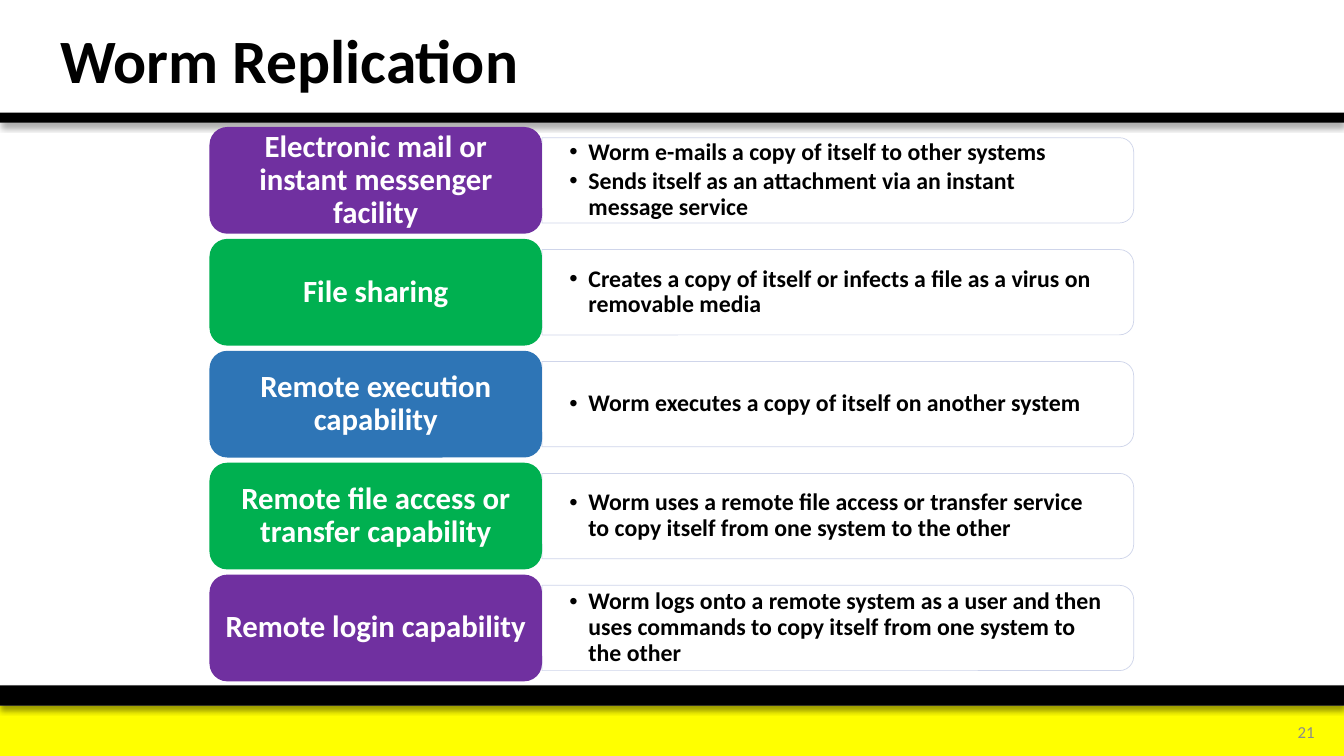
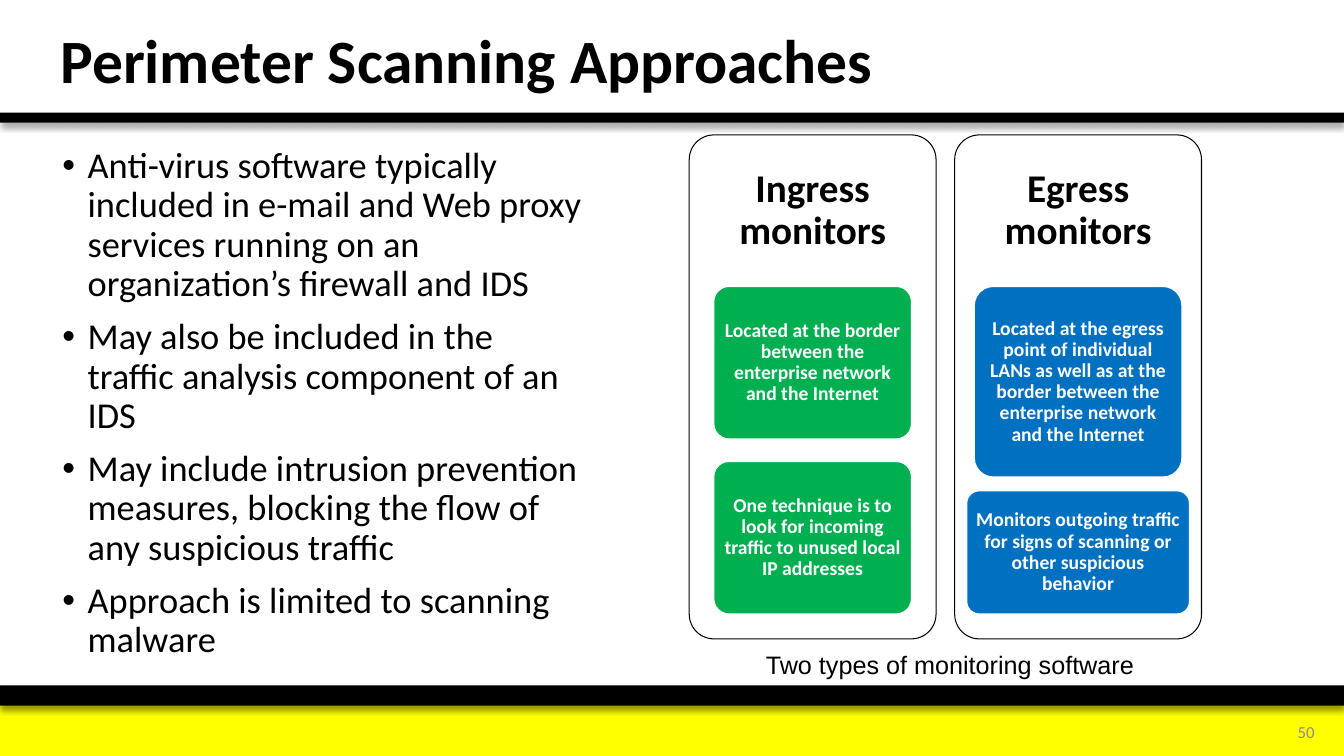
from lxml import etree
from pptx import Presentation
from pptx.dml.color import RGBColor
from pptx.enum.shapes import MSO_SHAPE
from pptx.enum.text import MSO_ANCHOR, PP_ALIGN
from pptx.oxml.ns import qn
from pptx.util import Cm, Pt

RECT = MSO_SHAPE.RECTANGLE
ROUNDED = MSO_SHAPE.ROUNDED_RECTANGLE
TWO_ROUNDED = MSO_SHAPE.ROUND_2_SAME_RECTANGLE
TOP, MIDDLE = MSO_ANCHOR.TOP, MSO_ANCHOR.MIDDLE
LEFT, CENTER, RIGHT = PP_ALIGN.LEFT, PP_ALIGN.CENTER, PP_ALIGN.RIGHT

SLIDE_W, SLIDE_H = 33.87, 19.05
BLACK, WHITE, YELLOW, GREY = "000000", "FFFFFF", "FFFF00", "8C8C8C"
PURPLE, GREEN, STEEL, BLUE = "7030A0", "00B050", "2E75B6", "0070C0"
PALE = "CFD5EA"

REPLICATION = [
    ("Electronic mail or instant messenger facility", PURPLE,
     ["Worm e-mails a copy of itself to other systems",
      "Sends itself as an attachment via an instant message service"]),
    ("File sharing", GREEN,
     ["Creates a copy of itself or infects a file as a virus on removable media"]),
    ("Remote execution capability", STEEL,
     ["Worm executes a copy of itself on another system"]),
    ("Remote file access or transfer capability", GREEN,
     ["Worm uses a remote file access or transfer service to copy itself "
      "from one system to the other"]),
    ("Remote login capability", PURPLE,
     ["Worm logs onto a remote system as a user and then uses commands to "
      "copy itself from one system to the other"]),
]

APPROACHES = [
    "Anti-virus software typically included in e-mail and Web proxy services "
    "running on an organization’s firewall and IDS",
    "May also be included in the traffic analysis component of an IDS",
    "May include intrusion prevention measures, blocking the flow of any "
    "suspicious traffic",
    "Approach is limited to scanning malware",
]

# Each card: width, height, text
MONITORS = [
    ("Ingress monitors", GREEN, [
        (4.98, 3.84, "Located at the border between the enterprise network "
                     "and the Internet"),
        (4.98, 3.84, "One technique is to look for incoming traffic to unused "
                     "local IP addresses")]),
    ("Egress monitors", BLUE, [
        (5.23, 4.8, "Located at the egress point of individual LANs as well as "
                    "at the border between the enterprise network and the Internet"),
        (5.61, 3.1, "Monitors outgoing traffic for signs of scanning or other "
                    "suspicious behavior")]),
]


def rgb(value):
    return RGBColor.from_string(value)


def add_block(slide, kind, box, fill=None, line=None, width=0.75):
    """Add a preset shape; without fill or line that part is transparent."""
    block = slide.shapes.add_shape(kind, *map(Cm, box))
    block.shadow.inherit = False
    if fill:
        block.fill.solid()
        block.fill.fore_color.rgb = rgb(fill)
    else:
        block.fill.background()
    if line:
        block.line.color.rgb = rgb(line)
        block.line.width = Pt(width)
    else:
        block.line.fill.background()
    return block


def add_bullet(paragraph, indent):
    properties = paragraph._p.get_or_add_pPr()
    properties.set("marL", str(Cm(indent)))
    properties.set("indent", str(-Cm(indent)))
    etree.SubElement(properties, qn("a:buFont")).set("typeface", "Arial")
    etree.SubElement(properties, qn("a:buChar")).set("char", "•")


def write(shape, texts, size, color=BLACK, bold=False, align=LEFT, anchor=MIDDLE,
          insets=(0.25, 0.13), font="Calibri", spacing=0.9, gap=0, bullet=0):
    """Fill a shape with paragraphs; gap is in points, insets and bullet in cm."""
    frame = shape.text_frame
    frame.word_wrap = True
    frame.vertical_anchor = anchor
    frame.margin_left = frame.margin_right = Cm(insets[0])
    frame.margin_top = frame.margin_bottom = Cm(insets[1])
    for index, text in enumerate(texts):
        paragraph = frame.add_paragraph() if index else frame.paragraphs[0]
        paragraph.text = text
        paragraph.alignment = align
        paragraph.line_spacing = spacing
        if index:
            paragraph.space_before = Pt(gap)
        if bullet:
            add_bullet(paragraph, bullet)
        paragraph.font.name = font
        paragraph.font.size = Pt(size)
        paragraph.font.bold = bold
        paragraph.font.color.rgb = rgb(color)


def add_text(slide, box, texts, size, **style):
    write(slide.shapes.add_textbox(*map(Cm, box)), texts, size, **style)


def add_black_band(slide, top, height):
    """Add a full-width band that casts a soft shadow downwards."""
    band = add_block(slide, RECT, (0, top, SLIDE_W, height), BLACK)
    effects = band._element.spPr.find(qn("a:effectLst"))
    shadow = etree.SubElement(effects, qn("a:outerShdw"), blurRad=str(Pt(4)),
                              dist=str(Pt(3)), dir="5400000", rotWithShape="0")
    color = etree.SubElement(shadow, qn("a:srgbClr"), val=BLACK)
    etree.SubElement(color, qn("a:alpha"), val="40000")


def add_framed_slide(deck, title, number):
    """Add a slide with the shared bands, title and page number."""
    slide = deck.slides.add_slide(deck.slide_layouts[6])
    add_block(slide, RECT, (0, 17.78, SLIDE_W, 1.27), YELLOW)
    add_black_band(slide, 17.27, 0.51)
    add_black_band(slide, 2.84, 0.25)
    add_text(slide, (31.45, 17.93, 1.93, 1.02), [str(number)], 12,
             color=GREY, align=RIGHT, spacing=1)
    add_text(slide, (1.27, 0.18, 24.2, 2.84), [title], 44, bold=True)
    return slide


def add_replication_row(slide, box, label, color, details):
    left, top, width, height = box
    label_w, detail_h = 8.38, 2.15
    detail_left, detail_w = left + label_w, width - label_w
    detail_top = top + (height - detail_h) / 2
    # The preset rounds its top corners, so a quarter turn rounds the right ones.
    upright = (detail_left + (detail_w - detail_h) / 2,
               detail_top + (detail_h - detail_w) / 2, detail_h, detail_w)
    add_block(slide, TWO_ROUNDED, upright, WHITE, PALE, 0.5).rotation = 90
    add_text(slide, (detail_left, detail_top, detail_w - 0.1, detail_h), details,
             17, bold=True, insets=(0.69, 0.36), gap=2.5, bullet=0.48)
    tab = add_block(slide, ROUNDED, (left, top, label_w, height), color)
    write(tab, [label], 22, color=WHITE, bold=True, align=CENTER,
          insets=(0.23, 0.13))


def add_monitor_panel(slide, box, heading, color, cards):
    """Draw a headed panel whose cards fill the space under the heading."""
    left, top, width, height = box
    heading_h, foot = 3.82, 0.63
    panel = add_block(slide, ROUNDED, box, line=BLACK)
    panel.adjustments[0] = 0.1
    add_text(slide, (left, top, width, heading_h), [heading], 28, bold=True,
             align=CENTER, insets=(0.3, 0.3))
    free = height - heading_h - foot - sum(card_h for _, card_h, _ in cards)
    gap = free / (len(cards) - 1)
    card_top = top + heading_h
    for card_w, card_h, text in cards:
        card_left = left + (width - card_w) / 2
        card = add_block(slide, ROUNDED, (card_left, card_top, card_w, card_h),
                         color, WHITE)
        card.adjustments[0] = 0.1
        write(card, [text], 14, color=WHITE, bold=True, align=CENTER,
              insets=(0.1, 0.08))
        card_top += card_h + gap


def build_replication_slide(deck):
    slide = add_framed_slide(deck, "Worm Replication", 21)
    for index, row in enumerate(REPLICATION):
        add_replication_row(slide, (5.28, 3.2 + 2.82 * index, 23.29, 2.69), *row)


def build_scanning_slide(deck):
    slide = add_framed_slide(deck, "Perimeter Scanning Approaches", 50)
    add_text(slide, (1.32, 3.58, 13.67, 13.39), APPROACHES, 26, anchor=TOP,
             gap=10, bullet=0.64)
    for index, monitor in enumerate(MONITORS):
        add_monitor_panel(slide, (17.37 + 6.69 * index, 3.4, 6.22, 12.7), *monitor)
    add_text(slide, (19.05, 16.23, 13.13, 1.02),
             ["Two types of monitoring software"], 18, font="Arial",
             anchor=TOP, spacing=1)


def main():
    deck = Presentation()
    deck.slide_width, deck.slide_height = Cm(SLIDE_W), Cm(SLIDE_H)
    build_replication_slide(deck)
    build_scanning_slide(deck)
    deck.save("out.pptx")


if __name__ == "__main__":
    main()
